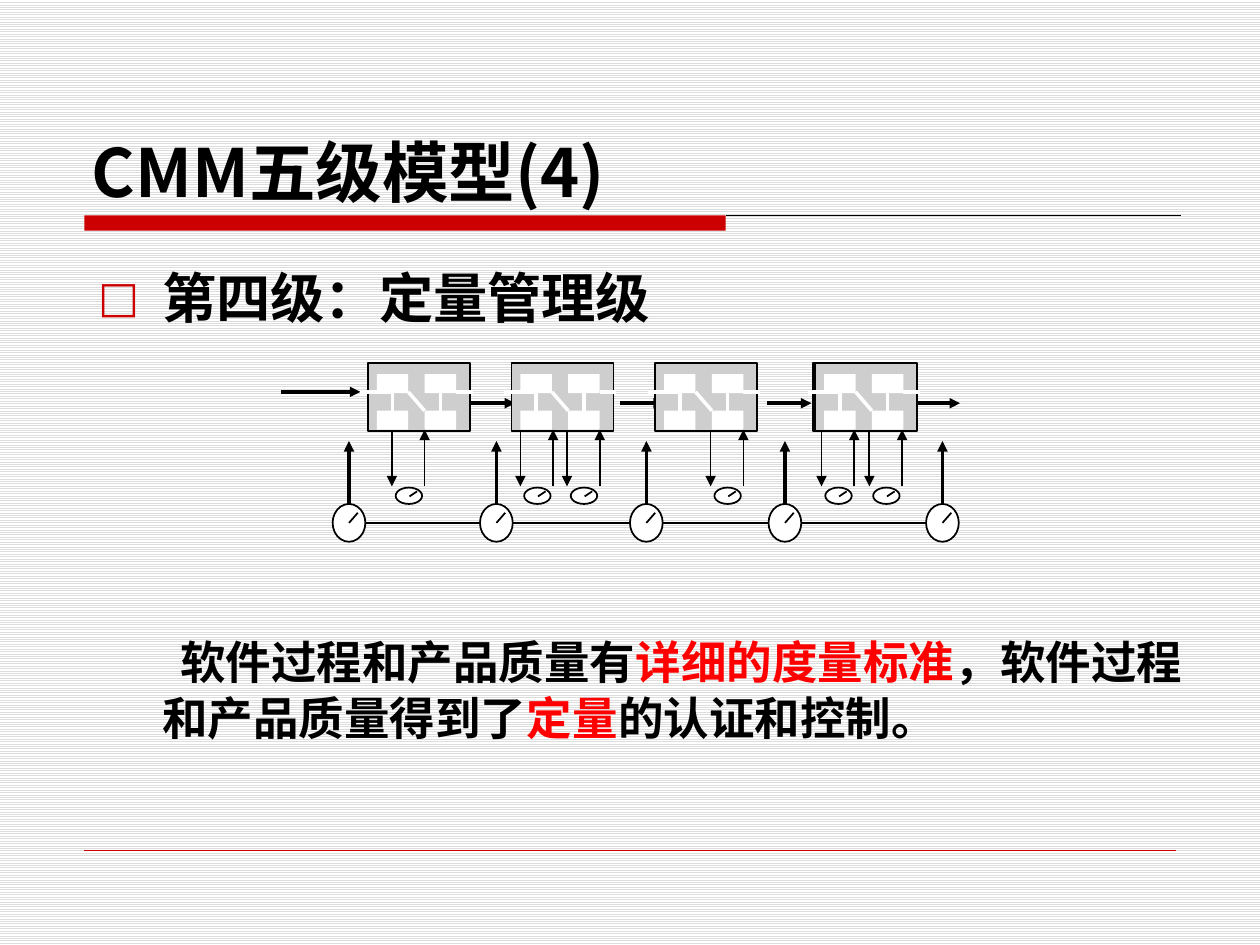
from lxml import etree
from pptx import Presentation
from pptx import util as u
from pptx.dml.color import RGBColor
from pptx.enum import dml, shapes, text
from pptx.oxml import ns

BLACK, WHITE, RED, BRIGHT, GREY = "000000", "FFFFFF", "CC0000", "FF0000", "CECECE"
RECT, OVAL = shapes.MSO_SHAPE.RECTANGLE, shapes.MSO_SHAPE.OVAL


def hue(code):
    return RGBColor.from_string(code)


def node(parent, tag, **attrs):
    return etree.SubElement(parent, ns.qn(tag), attrs)


def write(para, words, size=26, color=BLACK, bold=True, face="DejaVu Sans", asian="Noto Sans CJK SC"):
    run = para.add_run()
    run.text = words
    font = run.font
    font.size, font.bold, font.name = u.Pt(size), bold, face
    font.color.rgb = hue(color)
    node(font._element, "a:ea", typeface=asian)


class Deck:
    """Holds the style and the current slide, with a method for each kind of element."""

    def __init__(self):
        self.prs = Presentation()
        self.prs.slide_width, self.prs.slide_height = u.Inches(10), u.Inches(7.5)
        self.slide = self.prs.slides.add_slide(self.prs.slide_layouts[6])

    def ground(self, fore, back):
        fill = self.slide.background.fill
        fill.patterned()
        fill.pattern = dml.MSO_PATTERN.LIGHT_HORIZONTAL
        fill.fore_color.rgb, fill.back_color.rgb = hue(fore), hue(back)

    def shape(self, kind, x, y, w, h, fill=WHITE, line=None):
        item = self.slide.shapes.add_shape(kind, *map(u.Inches, (x, y, w, h)))
        item.shadow.inherit = False
        item.fill.solid()
        item.fill.fore_color.rgb = hue(fill)
        if line:
            item.line.color.rgb, item.line.width = hue(line), u.Pt(1)
        else:
            item.line.fill.background()
        return item

    def line(self, x1, y1, x2, y2, color=BLACK, width=1, arrow=False):
        ends = map(u.Inches, (x1, y1, x2, y2))
        item = self.slide.shapes.add_connector(shapes.MSO_CONNECTOR.STRAIGHT, *ends)
        item.line.color.rgb, item.line.width = hue(color), u.Pt(width)
        if arrow:
            node(item.line._get_or_add_ln(), "a:tailEnd", type="triangle")
        node(item._element.spPr, "a:effectLst")
        return item

    def box(self, x, y, w, h, anchor=text.MSO_ANCHOR.TOP):
        frame = self.slide.shapes.add_textbox(*map(u.Inches, (x, y, w, h))).text_frame
        frame.word_wrap, frame.vertical_anchor = True, anchor
        return frame.paragraphs[0]

    def block(self, x):
        self.shape(RECT, x, 2.88, 0.81, 0.54, GREY, BLACK)
        for dx in (0.07, 0.45):
            top, base = (self.shape(RECT, x + dx, y, 0.25, 0.15) for y in (2.97, 3.26))
            link = self.line(x + dx + 0.12, 3.12, x + dx + 0.12, 3.26, WHITE, 2)
            link.begin_connect(top, 2)
            link.end_connect(base, 0)
        for start, end, low in ((-0.06, 0.2, 3.11), (0.32, 0.45, 3.26), (0.7, 0.83, 3.11)):
            self.line(x + start, 3.11, x + end, low, WHITE, 2)

    def dial(self, x):
        self.shape(OVAL, x - 0.13, 4, 0.26, 0.3, WHITE, BLACK)
        self.line(x, 4.15, x + 0.07, 4.07)

    def gauge(self, x):
        self.shape(OVAL, x, 3.87, 0.21, 0.13, WHITE, BLACK)
        self.line(x + 0.11, 3.94, x + 0.17, 3.9)
        self.line(x - 0.03, 3.41, x - 0.03, 3.86, arrow=True)
        self.line(x + 0.23, 3.86, x + 0.23, 3.41, arrow=True)


def frame(deck):
    deck.ground("DDDDDD", WHITE)
    deck.shape(RECT, 0.67, 1.71, 5.09, 0.12, RED)
    deck.line(5.76, 1.71, 9.37, 1.71, width=0.5)
    deck.line(0.67, 6.75, 9.33, 6.75, RED, 0.25)


def words(deck):
    title = deck.box(0.63, 0.39, 8.75, 1.33, text.MSO_ANCHOR.BOTTOM)
    write(title, "CMM五级模型(4)", size=38, face="Noto Sans CJK SC")

    head = deck.box(0.68, 2.05, 9, 0.7)
    props = head._p.get_or_add_pPr()
    props.set("marL", str(u.Inches(0.51)))
    props.set("indent", str(u.Inches(-0.51)))
    node(node(props, "a:buClr"), "a:srgbClr", val=RED)
    node(props, "a:buSzPct", val="80000")
    node(props, "a:buFont", typeface="DejaVu Sans")
    node(props, "a:buChar", char="□")
    write(head, "第四级：定量管理级", size=31)

    body = deck.box(1.19, 4.97, 8.49, 1)
    body._p.get_or_add_pPr().set("indent", str(u.Inches(0.14)))
    body.line_spacing = u.Pt(32)
    for phrase, color in (
        ("软件过程和产品质量有", BLACK),
        ("详细的度量标准", BRIGHT),
        ("，软件过程和产品质量得到了", BLACK),
        ("定量", BRIGHT),
        ("的认证和控制。", BLACK),
    ):
        write(body, phrase, color=color)


def model(deck):
    dials = (2.77, 3.94, 5.13, 6.23, 7.48)
    deck.line(2.23, 3.11, 2.86, 3.11, width=2, arrow=True)
    for x in (3.74, 4.92, 6.09, 7.27):
        deck.line(x, 3.2, x + 0.35, 3.2, width=2, arrow=True)
    for x in dials:
        deck.line(x, 4.15, x, 3.5, width=2, arrow=True)
    deck.line(dials[0], 4.15, dials[-1], 4.15)
    for x in dials:
        deck.dial(x)
    deck.shape(RECT, 6.45, 2.88, 0.81, 0.54, GREY, BLACK)
    for x in (2.92, 4.06, 5.2, 6.47):
        deck.block(x)
    for x in (3.14, 4.16, 4.53, 5.67, 6.55, 6.93):
        deck.gauge(x)


def main():
    deck = Deck()
    frame(deck)
    words(deck)
    model(deck)
    deck.prs.save("out.pptx")


if __name__ == "__main__":
    main()
